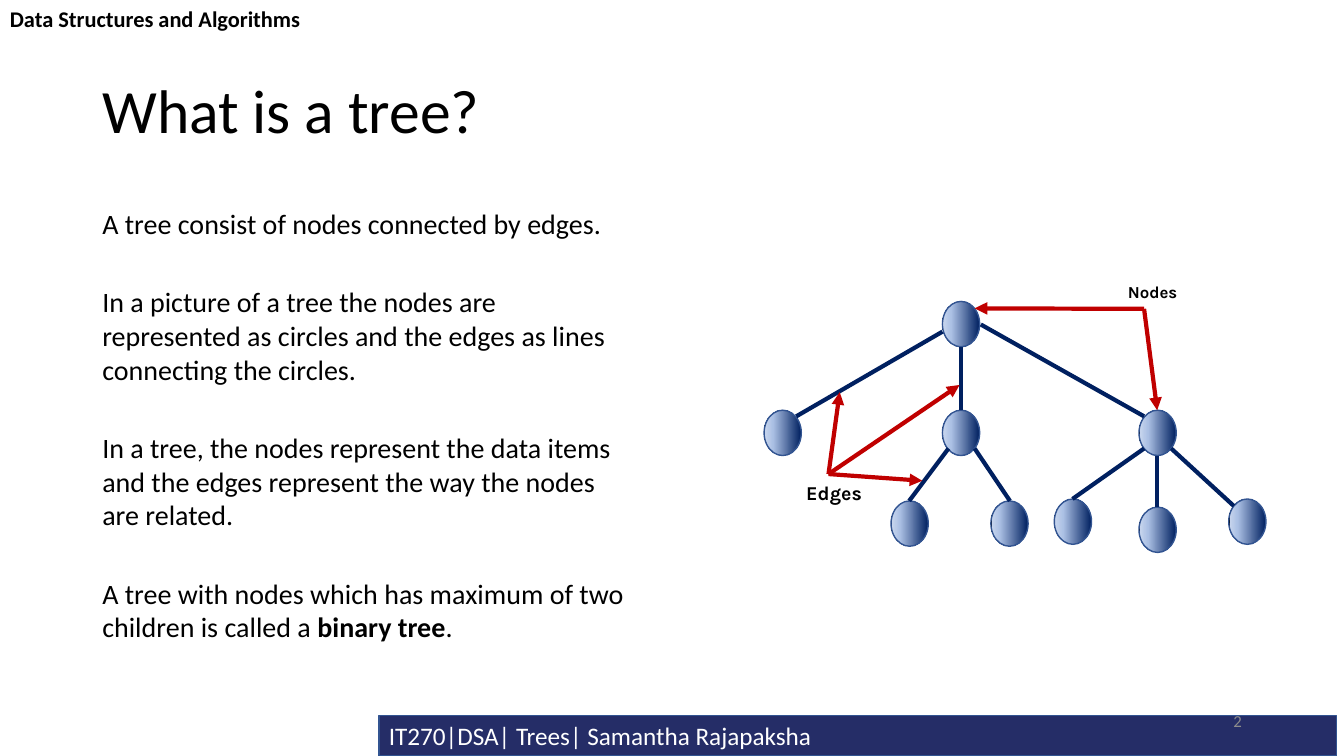
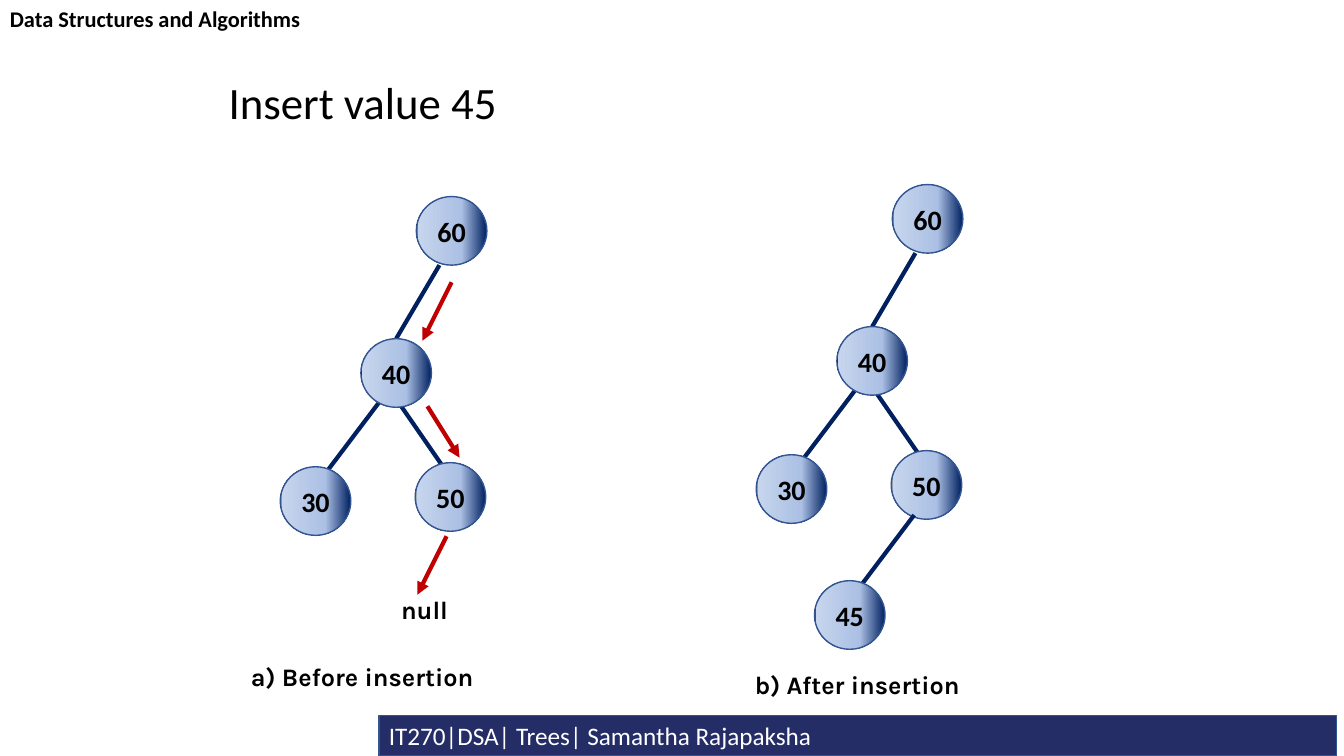
from lxml import etree
from pptx import Presentation
from pptx import util as u
from pptx.dml.color import RGBColor
from pptx.enum import shapes, text
from pptx.oxml.ns import qn

NAVY, RED, BLACK, WHITE = "002060", "C00000", "000000", "FFFFFF"
BAND, RIM, GREY = "252D67", "325491", "8C8C8C"
SANS, KARLA = "Calibri", "Karla"
LEFT, MID, RIGHT = text.PP_ALIGN.LEFT, text.PP_ALIGN.CENTER, text.PP_ALIGN.RIGHT


def color(code):
    return RGBColor.from_string(code)


def write(shape, paras, size, font=SANS, ink=BLACK, bold=False, align=LEFT,
          middle=False, gap=0, lead=None):
    """Fill a shape with paragraphs, each a list of (words, bold) or a string."""
    frame = shape.text_frame
    frame.word_wrap = True
    anchor = text.MSO_ANCHOR
    frame.vertical_anchor = anchor.MIDDLE if middle else anchor.TOP
    for i, para in enumerate(paras):
        line = frame.paragraphs[0] if i == 0 else frame.add_paragraph()
        line.alignment = align
        if lead:
            line.line_spacing = lead
        if i:
            line.space_before = u.Pt(gap)
        for words, heavy in [(para, bold)] if isinstance(para, str) else para:
            run = line.add_run()
            run.text = words
            run.font.name, run.font.size = font, u.Pt(size)
            run.font.bold = heavy
            run.font.color.rgb = color(ink)


def label(slide, area, paras, size, **style):
    box = slide.shapes.add_textbox(*map(u.Pt, area))
    write(box, paras, size, **style)


def solid(slide, kind, area):
    shape = slide.shapes.add_shape(kind, *map(u.Pt, area))
    shape.shadow.inherit = False
    shape.line.color.rgb = color(RIM)
    shape.line.width = u.Pt(1)
    return shape


def node(slide, mid, size, glow, word=None):
    """Draw a shaded circle around a centre; glow is where the light part begins."""
    (x, y), (w, h) = mid, size
    kind = shapes.MSO_SHAPE.FLOWCHART_CONNECTOR
    shape = solid(slide, kind, (x - w / 2, y - h / 2, w, h))
    shape.fill.gradient()
    shape.fill.gradient_angle = 180
    stops = shape._element.spPr.find(".//" + qn("a:gsLst"))
    for old in list(stops):
        stops.remove(old)
    for pos, code in (0, NAVY), (glow, "ABC0E4"), (98, "C7D5ED"), (99, BLACK):
        stop = etree.SubElement(stops, qn("a:gs"), pos=str(pos * 1000))
        etree.SubElement(stop, qn("a:srgbClr"), val=code)
    if word:
        frame = shape.text_frame
        frame.margin_left = frame.margin_right = 0
        write(shape, [word], 20, bold=True, align=MID, middle=True)


def edge(slide, start, end, ink=NAVY):
    kind = shapes.MSO_CONNECTOR.STRAIGHT
    line = slide.shapes.add_connector(kind, *map(u.Pt, (*start, *end)))
    line.line.color.rgb = color(ink)
    line.line.width = u.Pt(3)
    etree.SubElement(line._element.spPr, qn("a:effectLst"))
    return line


def arrow(slide, start, end):
    line = edge(slide, start, end, RED)
    etree.SubElement(line.line._get_or_add_ln(), qn("a:tailEnd"), type="triangle")


def page(deck):
    """Add a slide with the course header and the footer band."""
    slide = deck.slides.add_slide(deck.slide_layouts[6])
    band = solid(slide, shapes.MSO_SHAPE.RECTANGLE, (270.7, 511.2, 684, 28.8))
    band.fill.solid()
    band.fill.fore_color.rgb = color(BAND)
    write(band, ["IT270|DSA| Trees| Samantha Rajapaksha"], 18, ink=WHITE,
          middle=True)
    label(slide, (0, 0, 960, 26.6), ["Data Structures and Algorithms"], 16,
          bold=True)
    return slide


def title(slide, area, words, size):
    label(slide, area, [words], size, middle=True, lead=0.9)


def intro(deck):
    slide = page(deck)
    title(slide, (66, 28.8, 828, 104.4), "What is a tree?", 44)
    label(slide, (66, 144, 388, 263.5), [
        "A tree consist of nodes connected by edges.",
        "In a picture of a tree the nodes are represented as circles and "
        "the edges as lines connecting the circles.",
        "In a tree, the nodes represent the data items and the edges "
        "represent the way the nodes are related.",
        [("A tree with nodes which has maximum of two children is called a ",
          False), ("binary tree", True), (".", False)],
    ], 20, gap=32)
    label(slide, (678.2, 500.4, 216, 28.8), ["2"], 12, ink=GREY, align=RIGHT,
          middle=True)

    label(slide, (798.5, 198, 76.3, 21.6), ["Nodes"], 12, font=KARLA, bold=True)
    for mid in ((686.5, 231.5),
                (559.1, 309.2), (686.5, 309.2), (826.9, 309.2),
                (649.8, 374), (721.1, 374),
                (766.4, 372.6), (826.9, 378.4), (891, 372.6)):
        node(slide, mid, (26.6, 32.4), 76)
    for start, end in (((700.6, 231.8), (817.2, 297.4)),
                       ((568.8, 297.4), (673.2, 236.9)),
                       ((686.7, 293), (686.7, 247.7)),
                       ((826.7, 362.2), (826.7, 325.4)),
                       ((649.4, 357.8), (677.5, 320.4)),
                       ((721.4, 357.8), (696.2, 320.4)),
                       ((766.1, 356.4), (817.2, 320.4)),
                       ((881.3, 361.4), (836.6, 320.4))):
        edge(slide, start, end)
    for start, ends in (((817.2, 220.6), ((826.6, 293), (696.2, 220.3))),
                        ((591.8, 338.6), ((685.4, 275), (599.8, 280.1),
                                          (658.8, 343.4)))):
        for end in ends:
            arrow(slide, start, end)
    label(slide, (568.8, 339.8, 73.4, 24.5), ["Edges"], 14, font=KARLA, bold=True)


def tree(slide, dx, dy, added=False):
    """Draw the search tree moved by dx, dy, with the new value if added."""
    def move(spot):
        return spot[0] + dx, spot[1] + dy

    edges = [((283, 241.9), (313.9, 189.4)),
             ((233.3, 337), (271.4, 286.6)),
             ((331.9, 355.7), (286.6, 290.2))]
    nodes = [("30", (225.4, 357.9)), ("40", (283, 266.4)),
             ("50", (321.8, 355)), ("60", (322.6, 164.9))]
    extra = [((274.9, 426.9), (313, 376.5))] if added else []
    if added:
        nodes.append(("45", (267, 447.9)))
    for start, end in edges:
        edge(slide, move(start), move(end))
    for word, mid in nodes:
        if word == "45":
            for start, end in extra:
                edge(slide, move(start), move(end))
        node(slide, move(mid), (50.4, 49), 36, word)


def insert(deck):
    slide = page(deck)
    title(slide, (156.2, 48.2, 630, 54), "Insert value 45", 32)
    tree(slide, 0, 0)
    for start, end in (((322.6, 201.6), (301.7, 243.4)),
                       ((305.3, 290.2), (328.3, 326.9)),
                       ((319, 383), (298.1, 424.8))):
        arrow(slide, start, end)
    tree(slide, 340, -8.6, added=True)
    for x, y, wide, words in ((279.4, 421.2, 86.4, "null"),
                              (172.1, 468.7, 180, "a) Before insertion"),
                              (532.1, 474.5, 180, "b) After insertion")):
        label(slide, (x, y, wide, 28.8), [words], 18, font=KARLA, bold=True)


def main():
    deck = Presentation()
    deck.slide_width, deck.slide_height = u.Pt(960), u.Pt(540)
    intro(deck)
    insert(deck)
    deck.save("out.pptx")


if __name__ == "__main__":
    main()
